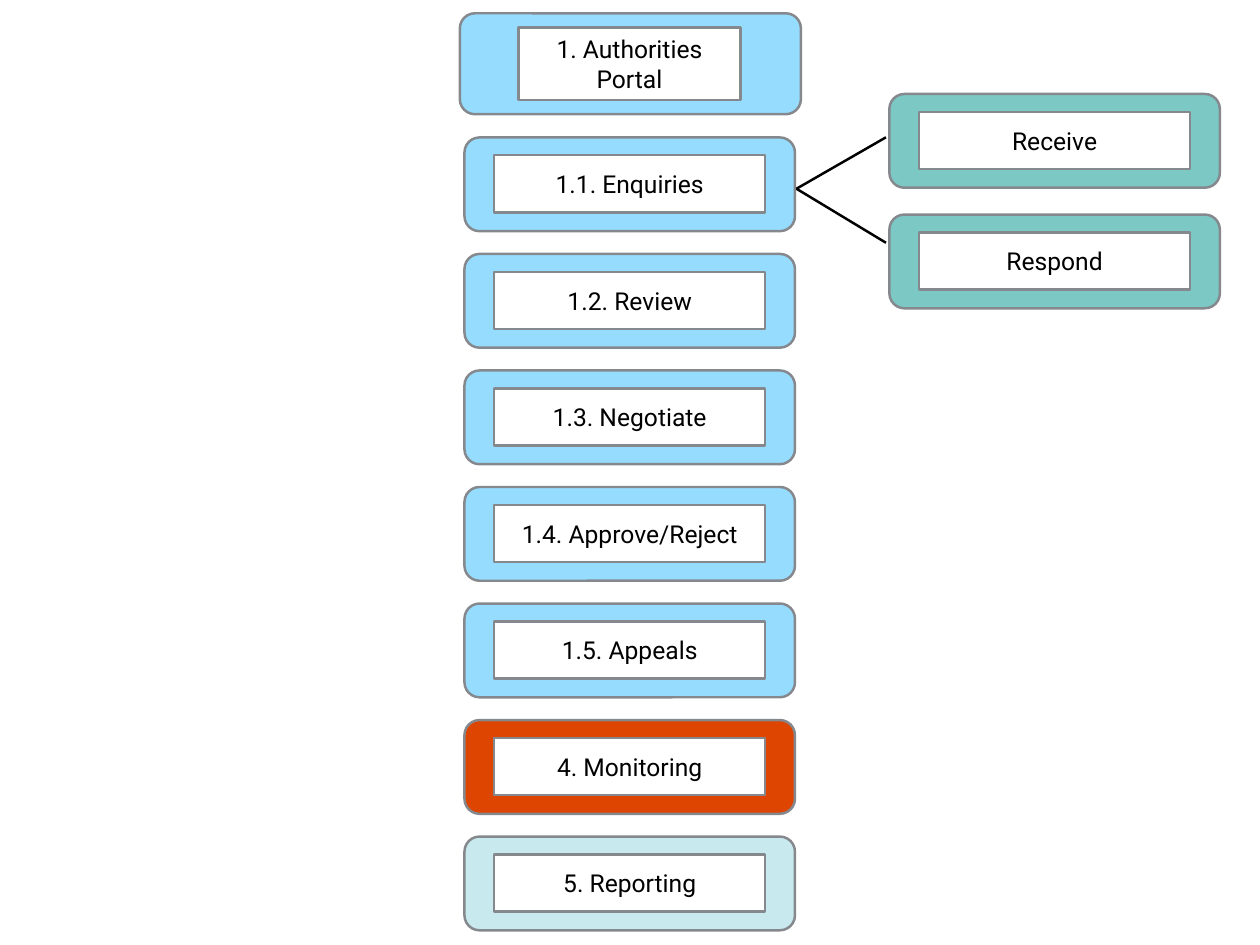
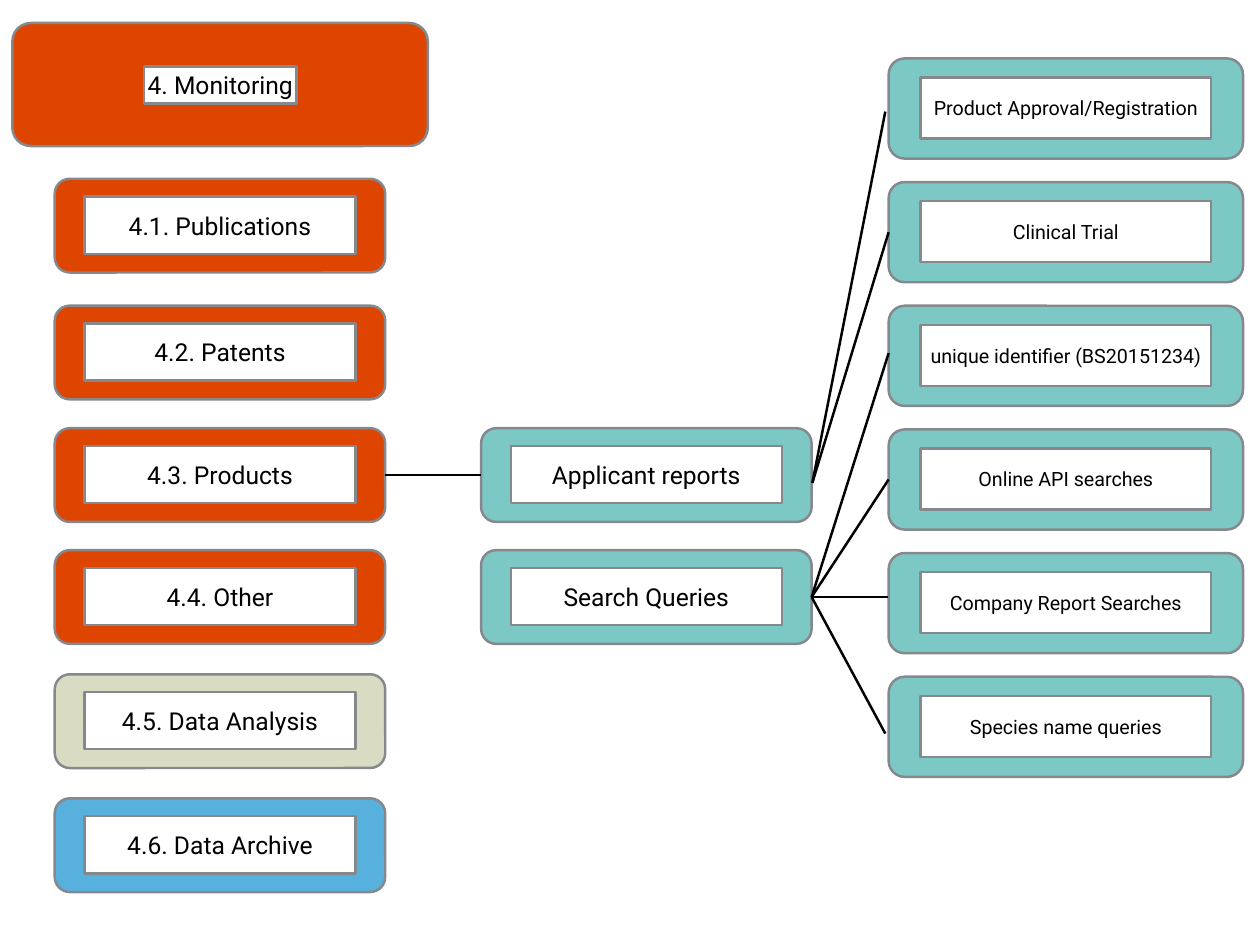
from lxml import etree
from pptx import Presentation
from pptx.dml.color import RGBColor
from pptx.enum import shapes, text
from pptx.oxml import ns
from pptx.util import Pt

SKY, TEAL, RED = "95DCFF", "7BC8C5", "DE4500"
ICE, SAND, BLUE = "C8EAEE", "D9DCC3", "58B0DC"
GREY, WHITE, BLACK = "85888D", "FFFFFF", "000000"
FONT = "Roboto"
CARD = (268.6, 76.2)
WIDE = (288, 81.4)
LEFT, RIGHT = 1, 3


def paint(fmt, color):
    """Give a fill a solid colour from a hex string."""
    fmt.solid()
    fmt.fore_color.rgb = RGBColor.from_string(color)


def block(group, kind, box, fill):
    """Add a filled shape with the grey outline that all boxes share."""
    shape = group.shapes.add_shape(kind, *map(Pt, box))
    shape.shadow.inherit = False
    paint(shape.fill, fill)
    paint(shape.line.fill, GREY)
    shape.line.width = Pt(2)
    return shape


def write(shape, words, size=20, color=BLACK, wrap=True):
    frame = shape.text_frame
    frame.word_wrap = wrap
    frame.vertical_anchor = text.MSO_ANCHOR.MIDDLE
    frame.margin_left = frame.margin_right = Pt(2.2)
    frame.margin_top = frame.margin_bottom = Pt(2.2)
    if not wrap:
        frame.auto_size = text.MSO_AUTO_SIZE.SHAPE_TO_FIT_TEXT
    par = frame.paragraphs[0]
    par.alignment = text.PP_ALIGN.CENTER
    run = par.add_run()
    run.text = words
    run.font.size = Pt(size)
    run.font.name = FONT
    paint(run.font.fill, color)


def card(slide, box, words, fill, label=None, adj=0.16, **style):
    """Draw a rounded card with a white label, whose box is relative to the card."""
    x, y, w, h = box
    dx, dy, lw, lh = label or (0.09 * w, 0.19 * h, 0.82 * w, 0.61 * h)
    group = slide.shapes.add_group_shape()
    base = block(group, shapes.MSO_SHAPE.ROUNDED_RECTANGLE, box, fill)
    base.adjustments[0] = adj
    plate = block(group, shapes.MSO_SHAPE.RECTANGLE, (x + dx, y + dy, lw, lh), WHITE)
    write(plate, words, **style)
    return base


def stack(slide, x, tops, items, dims=CARD, **style):
    """Place one card per (words, fill) item in a column and return the cards."""
    return [card(slide, (x, y, *dims), words, fill, **style)
            for y, (words, fill) in zip(tops, items)]


def steps(top, pitch, count):
    """List the tops of count cards, one pitch apart."""
    return [top + pitch * i for i in range(count)]


def link(slide, start, end):
    """Draw a line from start to end, each a card to join or an (x, y) point."""
    line = slide.shapes.add_connector(shapes.MSO_CONNECTOR.STRAIGHT, 0, 0, 0, 0)
    if isinstance(start, tuple):
        line.begin_x, line.begin_y = map(Pt, start)
    else:
        line.begin_connect(start, RIGHT)
    if isinstance(end, tuple):
        line.end_x, line.end_y = map(Pt, end)
    else:
        line.end_connect(end, LEFT)
    paint(line.line.fill, BLACK)
    line.line.width = Pt(2)
    etree.SubElement(line._element.spPr, ns.qn("a:effectLst"))


def fan(slide, start, ends):
    """Draw a line from one start to each end."""
    for end in ends:
        link(slide, start, end)


def portal(slide):
    """Build the menu of the portal with the tasks of its first entry."""
    card(slide, (373.7, 10.8, 277.2, 82), "1. Authorities Portal", SKY,
         label=(47.5, 11.5, 180.7, 59), adj=0.15)
    menu = [("1.1. Enquiries", SKY), ("1.2. Review", SKY), ("1.3. Negotiate", SKY),
            ("1.4. Approve/Reject", SKY), ("1.5. Appeals", SKY),
            ("4. Monitoring", RED), ("5. Reporting", ICE)]
    stack(slide, 377.5, steps(111.7, 94.7, len(menu)), menu)
    tasks = [("Receive", TEAL), ("Respond", TEAL)]
    stack(slide, 722.8, steps(76.4, 98, len(tasks)), tasks)
    fan(slide, (647.3, 153.4), [(720, 111.6), (720, 197.3)])


def monitor(slide):
    """Build the monitoring tree: areas, sources and queries, left to right."""
    card(slide, (10, 18.7, 337.7, 100), "4. Monitoring", RED,
         label=(107.1, 35.2, 123.8, 30.2), adj=0.15, wrap=False)
    areas = [("4.1. Publications", RED), ("4.2. Patents", RED), ("4.3. Products", RED),
             ("4.4. Other", RED), ("4.5. Data Analysis", SAND), ("4.6. Data Archive", BLUE)]
    tops = [145.3, 248.4, 348, 447.1, 548, 648.8]
    products = stack(slide, 44.5, tops, areas)[2]

    sources = [("Applicant reports", TEAL), ("Search Queries", TEAL)]
    reports, search = stack(slide, 391, tops[2:4], sources)

    names = ["Product Approval/Registration", "Clinical Trial",
             "unique identifier (BS20151234)", "Online API searches",
             "Company Report Searches", "Species name queries"]
    queries = [(name, TEAL) for name in names]
    leaves = stack(slide, 722.2, steps(47.5, 100.5, len(names)), queries,
                   dims=WIDE, size=16)
    trial, lookup = leaves[1], leaves[3]

    link(slide, products, reports)
    fan(slide, (660.2, 392.4), [(719.5, 90.7), trial])
    fan(slide, search, [(722.2, 287), lookup, (721.6, 485.2), (719.5, 596.2)])


def main():
    deck = Presentation()
    deck.slide_width, deck.slide_height = Pt(1024), Pt(768)
    for build in (portal, monitor):
        build(deck.slides.add_slide(deck.slide_layouts[6]))
    deck.save("out.pptx")


if __name__ == "__main__":
    main()
